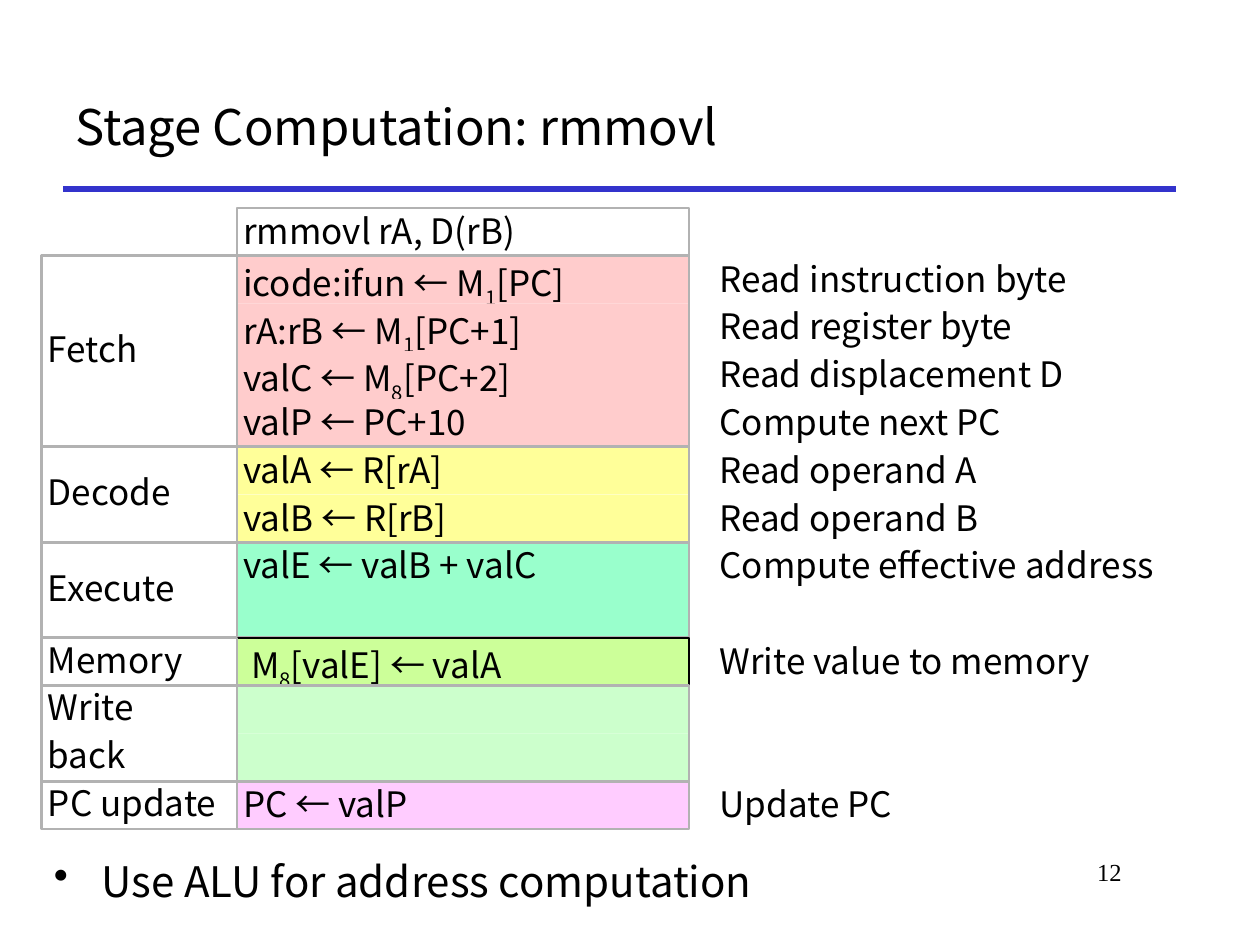
from lxml import etree
from pptx import Presentation
from pptx import util as u
from pptx.dml.color import RGBColor
from pptx.enum import shapes, text
from pptx.oxml.ns import qn

BLACK = RGBColor(0, 0, 0)
BLUE = RGBColor(0x33, 0x33, 0xCC)
GREY = RGBColor(0xB2, 0xB2, 0xB2)
PINK = RGBColor(0xFF, 0xCC, 0xCC)
YELLOW = RGBColor(0xFF, 0xFF, 0x99)
TEAL = RGBColor(0x99, 0xFF, 0xCC)
LIME = RGBColor(0xCC, 0xFF, 0x99)
MINT = RGBColor(0xCC, 0xFF, 0xCC)
LILAC = RGBColor(0xFF, 0xCC, 0xFF)

SANS = "Noto Sans CJK KR"
TOP, PITCH = 1.65, 4.55 / 12
LEFT, MID, RIGHT = 0.33, 1.88, 5.66
SIDE, WIDE = 1.55, 3.59

STAGES = [
    ("Fetch", PINK, GREY, [
        ("icode:ifun ← M_1_[PC]", "Read instruction byte"),
        ("rA:rB ← M_1_[PC+1]", "Read register byte"),
        ("valC ← M_8_[PC+2]", "Read displacement D"),
        ("valP ← PC+10", "Compute next PC")]),
    ("Decode", YELLOW, GREY, [
        ("valA ← R[rA]", "Read operand A"),
        ("valB ← R[rB]", "Read operand B")]),
    ("Execute", TEAL, GREY, [
        ("valE ← valB + valC", "Compute effective address"),
        ("", "")]),
    ("Memory", LIME, BLACK, [
        (" M_8_[valE] ← valA", "Write value to memory")]),
    ("Write\nback", MINT, GREY, [("", ""), ("", "")]),
    ("PC update", LILAC, GREY, [("PC ← valP", "Update PC")]),
]


def write(shape, words, size=20, font=SANS, align=text.PP_ALIGN.LEFT,
          anchor=text.MSO_ANCHOR.TOP, pad=(0.05, 0.05), lead=0.9, bullet=None):
    frame = shape.text_frame
    frame.word_wrap = True
    frame.vertical_anchor = anchor
    frame.margin_left = frame.margin_right = u.Inches(pad[0])
    frame.margin_top = frame.margin_bottom = u.Inches(pad[1])
    for row, line in enumerate(words.split("\n")):
        para = frame.add_paragraph() if row else frame.paragraphs[0]
        para.alignment = align
        para.line_spacing = lead
        if row:
            para.space_before = u.Pt(6)
        if bullet:
            props = para._p.get_or_add_pPr()
            props.set("marL", str(u.Inches(0.38)))
            props.set("indent", str(u.Inches(-0.38)))
            etree.SubElement(props, qn("a:buChar")).set("char", bullet)
        for part, piece in enumerate(line.split("_")):
            run = para.add_run()
            run.text = piece
            run.font.size = u.Pt(size)
            run.font.name = font
            run.font.color.rgb = BLACK
            props = run._r.get_or_add_rPr()
            etree.SubElement(props, qn("a:ea")).set("typeface", font)
            if part % 2:
                props.set("baseline", "-25000")


class Page:
    def __init__(self, slide):
        self.slide = slide
        self.home = slide.shapes
        self.width = u.Pt(1.5)

    def group(self):
        self.home = self.slide.shapes.add_group_shape().shapes

    def line(self, x, y, end, color, width):
        rule = self.home.add_connector(
            shapes.MSO_CONNECTOR.STRAIGHT,
            u.Inches(x), u.Inches(y), u.Inches(end), u.Inches(y))
        rule.line.color.rgb = color
        rule.line.width = u.Pt(width)
        etree.SubElement(rule._element.spPr, qn("a:effectLst"))

    def label(self, x, y, w, h, words, **style):
        area = [u.Inches(v) for v in (x, y, w, h)]
        write(self.home.add_textbox(*area), words, **style)

    def box(self, x, y, w, h, words="", fill=None, edge=None, **style):
        area = [u.Inches(v) for v in (x, y, w, h)]
        rect = self.home.add_shape(shapes.MSO_SHAPE.RECTANGLE, *area)
        rect.shadow.inherit = False
        if fill is None:
            rect.fill.background()
        else:
            rect.fill.solid()
            rect.fill.fore_color.rgb = fill
        if edge is None:
            rect.line.fill.background()
        else:
            rect.line.color.rgb = edge
            rect.line.width = self.width
        if words:
            write(rect, words, **style)

    def stage(self, y, name, fill, edge, steps):
        tall = PITCH * len(steps)
        single = len(steps) == 1
        for i, (step, note) in enumerate(steps):
            top = y + i * PITCH
            self.box(MID, top, WIDE, PITCH, step, fill, edge if single else None)
            if note:
                self.label(RIGHT, top, WIDE, PITCH, note)
        if not single:
            self.box(MID, y, WIDE, tall, edge=edge)
        self.box(LEFT, y, SIDE, tall, name, edge=GREY,
                 anchor=text.MSO_ANCHOR.MIDDLE)
        return y + tall


def main():
    deck = Presentation()
    deck.slide_width, deck.slide_height = u.Inches(10), u.Inches(7.5)
    page = Page(deck.slides.add_slide(deck.slide_layouts[6]))
    plain = {"pad": (0.1, 0.05), "lead": 1.0}
    page.line(0.5, 1.5, 9.33, BLUE, 3)
    page.label(7.58, 6.75, 1.42, 0.5, "12", size=14, font="Times New Roman",
               align=text.PP_ALIGN.RIGHT, **plain)
    page.label(0.5, 0.5, 8.83, 1, "Stage Computation: rmmovl", size=28,
               anchor=text.MSO_ANCHOR.MIDDLE, **plain)
    page.label(0.33, 6.74, 9.08, 0.59, "Use ALU for address computation",
               size=24, bullet="•", **plain)
    page.group()
    page.box(MID, TOP, WIDE, PITCH, "rmmovl rA, D(rB)", edge=GREY)
    y = TOP + PITCH
    for stage in STAGES:
        y = page.stage(y, *stage)
    deck.save("out.pptx")


if __name__ == "__main__":
    main()
